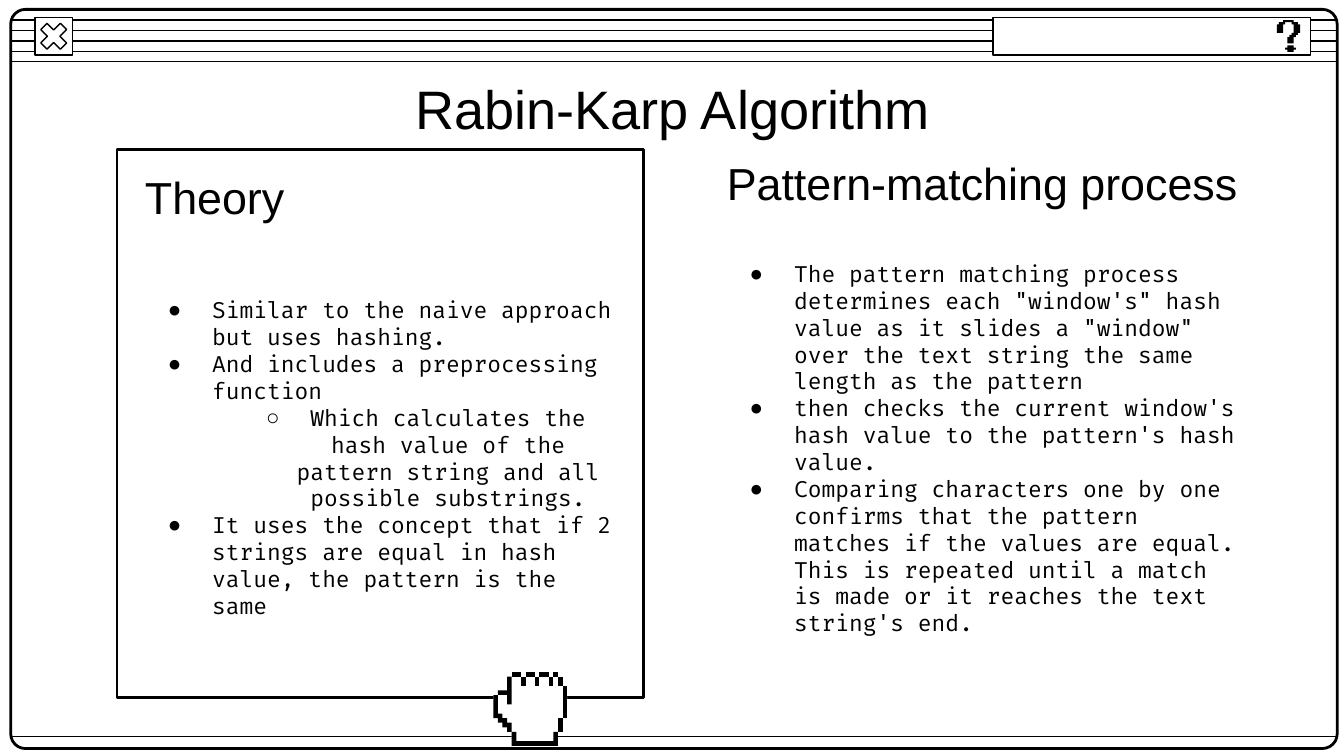
from dataclasses import dataclass

from lxml import etree
from pptx import Presentation
from pptx import util as u
from pptx.dml.color import RGBColor
from pptx.enum import shapes, text
from pptx.oxml.ns import qn

Inches = u.Inches
LEFT, CENTER = text.PP_ALIGN.LEFT, text.PP_ALIGN.CENTER


@dataclass(frozen=True)
class Theme:
    ink: RGBColor = RGBColor(0, 0, 0)
    paper: RGBColor = RGBColor(255, 255, 255)
    heading_font: str = "Arial"
    body_font: str = "Fira Code"
    bullet_font: str = "Arial"
    title_size: float = 29
    heading_size: float = 24
    body_size: float = 12
    thin: float = 0.75
    thick: float = 1.5


@dataclass(frozen=True)
class Area:
    left: float
    top: float
    width: float
    height: float

    def lengths(self):
        return [Inches(n) for n in (self.left, self.top, self.width, self.height)]


@dataclass(frozen=True)
class Bullet:
    words: str
    level: int = 0


@dataclass(frozen=True)
class Column:
    heading: str
    heading_area: Area
    body_area: Area
    bullets: tuple[Bullet, ...]


@dataclass(frozen=True)
class PixelArt:
    """Outlines counted in square pixels from the top left corner."""
    left: float
    top: float
    pixel: float
    black: tuple
    white: tuple = ()


THEME = Theme()
SLIDE_WIDTH = 10
SLIDE_HEIGHT = SLIDE_WIDTH * 9 / 16
WINDOW = Area(0.08, 0.07, 9.87, 5.5)
CLOSE_BUTTON = Area(0.26, 0.13, 0.28, 0.28)
HELP_BAR = Area(7.39, 0.13, 2.36, 0.28)
THEORY_FRAME = Area(0.87, 1.11, 3.92, 4.08)
TITLE_AREA = Area(0.79, 0.49, 8.43, 0.63)
STRIPE_TOP, STRIPE_BOTTOM, STRIPE_COUNT = 0.15, 0.46, 5
FOOTER_Y = 5.48

COLUMNS = (
    Column("Theory", Area(0.98, 1.22, 3.71, 0.49), Area(0.98, 1.81, 3.71, 3.19), (
        Bullet("Similar to the naive approach but uses hashing."),
        Bullet("And includes a preprocessing function"),
        Bullet("Which calculates the hash value of the pattern string and all "
               "possible substrings.", 1),
        Bullet("It uses the concept that if 2 strings are equal in hash value, "
               "the pattern is the same"))),
    Column("Pattern-matching process", Area(5.31, 1.11, 4.6, 0.49), Area(5.31, 1.6, 4.05, 3.47), (
        Bullet("The pattern matching process determines each \"window's\" hash value "
               "as it slides a \"window\" over the text string the same length as the pattern"),
        Bullet("then checks the current window's hash value to the pattern's hash value."),
        Bullet("Comparing characters one by one confirms that the pattern matches if the "
               "values are equal. This is repeated until a match is made or it reaches "
               "the text string's end."))),
)


def block(left: int, top: int, width: int, height: int) -> tuple:
    right, bottom = left + width, top + height
    return (left, top), (left, bottom), (right, bottom), (right, top)


QUESTION_MARK = PixelArt(9.5, 0.15, 0.22 / 14, black=(
    ((5, 12), (5, 13), (4, 13), (4, 14), (5, 14), (5, 15), (8, 15), (8, 14),
     (9, 14), (9, 13), (8, 13), (8, 12)),
    ((3, 0), (3, 1), (1, 1), (1, 2), (0, 2), (0, 6), (3, 6), (3, 2), (4, 2), (4, 1),
     (7, 1), (7, 2), (8, 2), (8, 6), (7, 6), (7, 7), (6, 7), (6, 8), (5, 8), (5, 11),
     (8, 11), (8, 8), (9, 8), (9, 7), (10, 7), (10, 6), (11, 6), (11, 2), (10, 2),
     (10, 1), (8, 1), (8, 0)),
))

HAND = PixelArt(
    3.67, 5, 0.55 / 16,
    white=(
        ((4, 0), (4, 1), (3, 1), (3, 4), (1, 4), (1, 5), (0, 5), (0, 10), (1, 10),
         (1, 11), (2, 11), (2, 12), (3, 12), (3, 13), (4, 13), (4, 16), (14, 16),
         (14, 13), (15, 13), (15, 10), (16, 10), (16, 3), (15, 3), (15, 1), (14, 1),
         (14, 0), (13, 0), (13, 1), (12, 1), (12, 0), (10, 0), (10, 1), (9, 1), (9, 0),
         (7, 0), (7, 1), (6, 1), (6, 0)),
    ),
    black=(
        *(block(x, 1, 1, 2) for x in (6, 9, 12, 14)),
        *(block(x, 0, 2, 1) for x in (4, 7, 10)),
        block(13, 0, 1, 1),
        block(15, 3, 1, 7),
        block(14, 10, 1, 3),
        ((4, 13), (4, 16), (14, 16), (14, 13), (13, 13), (13, 15), (5, 15), (5, 13)),
        ((3, 1), (3, 4), (1, 4), (1, 5), (3, 5), (3, 7), (4, 7), (4, 1)),
        ((0, 5), (0, 10), (1, 10), (1, 11), (2, 11), (2, 12), (3, 12), (3, 13), (4, 13),
         (4, 11), (3, 11), (3, 10), (2, 10), (2, 9), (1, 9), (1, 5)),
    ))


def draw_rule(page, y: float) -> None:
    rule = page.shapes.add_connector(
        shapes.MSO_CONNECTOR.STRAIGHT, Inches(WINDOW.left), Inches(y),
        Inches(WINDOW.left + WINDOW.width), Inches(y))
    rule.line.color.rgb = THEME.ink
    rule.line.width = u.Pt(THEME.thin)
    etree.SubElement(rule._element.spPr, qn("a:effectLst"))


def draw_shape(page, preset, area: Area, weight: float, filled: bool = False):
    shape = page.shapes.add_shape(preset, *area.lengths())
    shape.shadow.inherit = False
    if filled:
        shape.fill.solid()
        shape.fill.fore_color.rgb = THEME.paper
    else:
        shape.fill.background()
    shape.line.color.rgb = THEME.ink
    shape.line.width = u.Pt(weight)
    return shape


def draw_pixel_art(page, art: PixelArt) -> None:
    group = page.shapes.add_group_shape()
    for outlines, color in ((art.white, THEME.paper), (art.black, THEME.ink)):
        for start, *others in outlines:
            builder = group.shapes.build_freeform(*start, scale=Inches(art.pixel))
            builder.add_line_segments(others, close=True)
            piece = builder.convert_to_shape(Inches(art.left), Inches(art.top))
            piece.shadow.inherit = False
            piece.fill.solid()
            piece.fill.fore_color.rgb = color
            piece.line.fill.background()


def prepare_frame(box) -> None:
    frame = box.text_frame
    frame.word_wrap = True
    frame.auto_size = text.MSO_AUTO_SIZE.NONE
    frame.vertical_anchor = text.MSO_ANCHOR.MIDDLE
    frame.margin_left = frame.margin_right = Inches(0.1)
    frame.margin_top = frame.margin_bottom = Inches(0.1)


def format_para(para, font: str, size: float, align) -> None:
    para.alignment = align
    para.line_spacing = 1.0
    para.space_before = para.space_after = u.Pt(0)
    for span in para.runs:
        span.font.name = font
        span.font.size = u.Pt(size)
        span.font.color.rgb = THEME.ink


def add_bullet_mark(para, level: int) -> None:
    para.level = level
    properties = para._p.get_or_add_pPr()
    properties.set("marL", str(Inches(0.5 * (level + 1))))
    properties.set("indent", str(Inches(-0.33)))
    color = etree.SubElement(properties, qn("a:buClr"))
    etree.SubElement(color, qn("a:srgbClr"), val=str(THEME.ink))
    etree.SubElement(properties, qn("a:buFont"), typeface=THEME.bullet_font)
    etree.SubElement(properties, qn("a:buChar"), char="●○"[level])


def fill_heading(box, words: str, size: float, align) -> None:
    prepare_frame(box)
    box.text_frame.text = words
    format_para(box.text_frame.paragraphs[0], THEME.heading_font, size, align)


def draw_column(page, column: Column) -> None:
    body = page.shapes.add_textbox(*column.body_area.lengths())
    prepare_frame(body)
    body.text_frame.text = "\n".join(bullet.words for bullet in column.bullets)
    for para, bullet in zip(body.text_frame.paragraphs, column.bullets):
        format_para(para, THEME.body_font, THEME.body_size, CENTER if bullet.level else LEFT)
        add_bullet_mark(para, bullet.level)
    heading = page.shapes.add_textbox(*column.heading_area.lengths())
    fill_heading(heading, column.heading, THEME.heading_size, LEFT)


def draw_window(page) -> None:
    gap = (STRIPE_BOTTOM - STRIPE_TOP) / (STRIPE_COUNT - 1)
    for index in range(STRIPE_COUNT):
        draw_rule(page, STRIPE_TOP + index * gap)
    preset = shapes.MSO_SHAPE
    border = draw_shape(page, preset.ROUNDED_RECTANGLE, WINDOW, THEME.thick)
    border.adjustments[0] = 0.02
    for form in (preset.RECTANGLE, preset.MATH_MULTIPLY):
        draw_shape(page, form, CLOSE_BUTTON, THEME.thin, filled=True)
    draw_rule(page, FOOTER_Y)
    draw_shape(page, preset.RECTANGLE, HELP_BAR, THEME.thin, filled=True)
    draw_pixel_art(page, QUESTION_MARK)


def main() -> None:
    deck = Presentation()
    deck.slide_width, deck.slide_height = Inches(SLIDE_WIDTH), Inches(SLIDE_HEIGHT)
    page = deck.slides.add_slide(deck.slide_layouts[5])
    draw_window(page)
    draw_shape(page, shapes.MSO_SHAPE.RECTANGLE, THEORY_FRAME, THEME.thick)
    title = page.shapes.title
    title.left, title.top, title.width, title.height = TITLE_AREA.lengths()
    fill_heading(title, "Rabin-Karp Algorithm", THEME.title_size, CENTER)
    for column in COLUMNS:
        draw_column(page, column)
    draw_pixel_art(page, HAND)
    deck.save("out.pptx")


if __name__ == "__main__":
    main()
